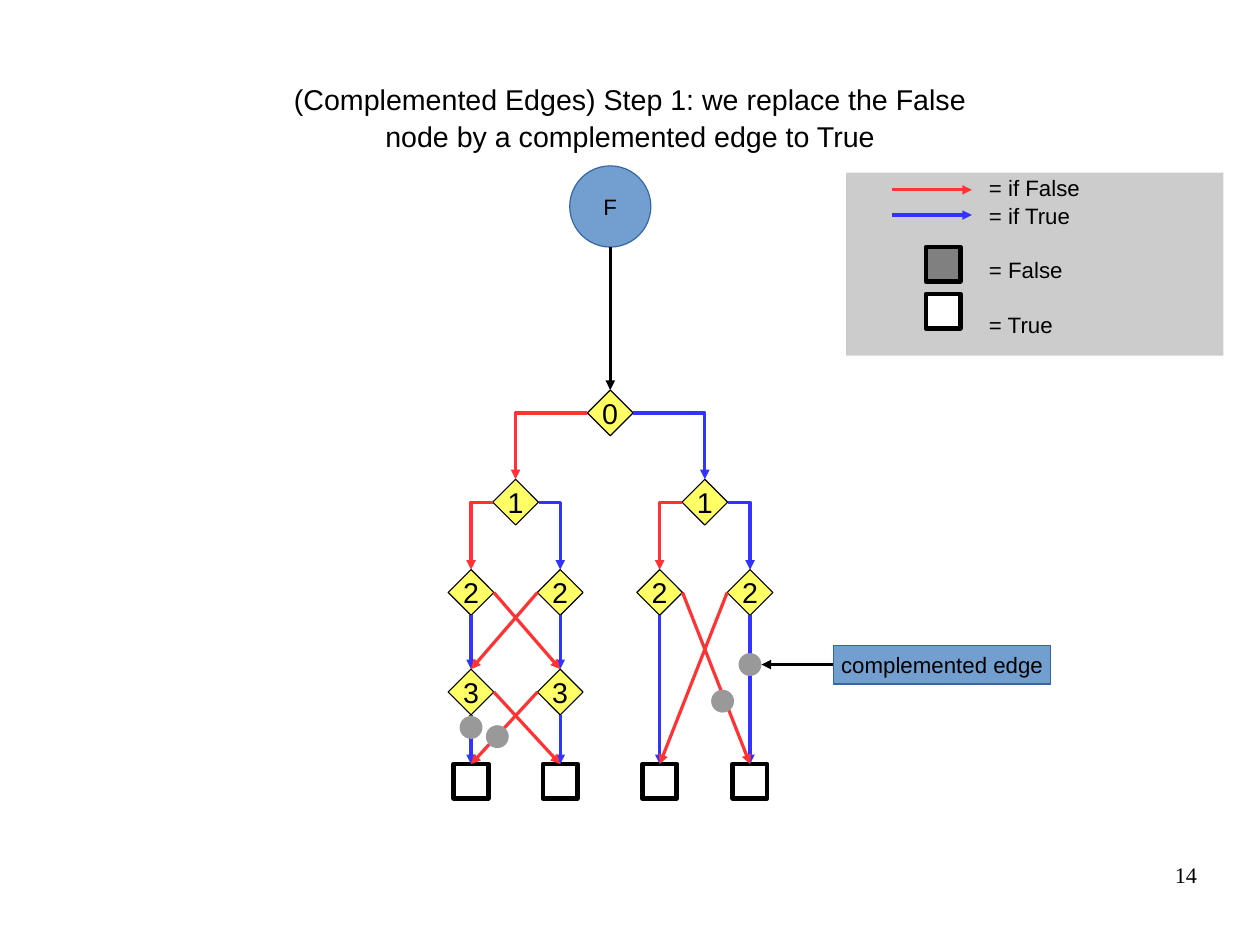
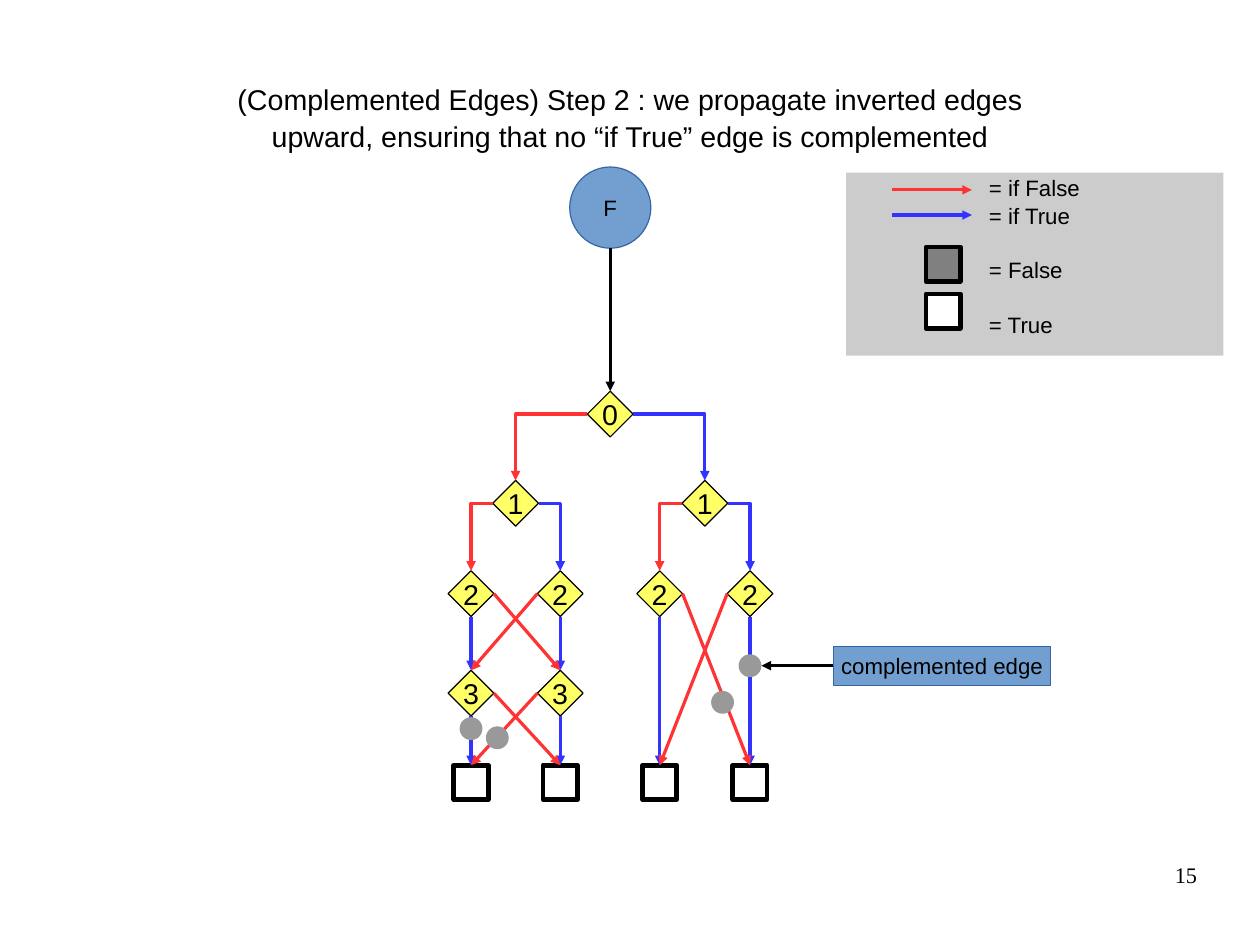
from lxml import etree
from pptx import Presentation
from pptx.dml.color import RGBColor
from pptx.enum.shapes import MSO_CONNECTOR, MSO_SHAPE
from pptx.enum.text import MSO_ANCHOR, MSO_AUTO_SIZE, PP_ALIGN
from pptx.oxml.ns import qn
from pptx.util import Inches, Pt

RECT, OVAL, DIAMOND = MSO_SHAPE.RECTANGLE, MSO_SHAPE.OVAL, MSO_SHAPE.DIAMOND
STRAIGHT, ELBOW = MSO_CONNECTOR.STRAIGHT, MSO_CONNECTOR.ELBOW
TOP, MIDDLE = MSO_ANCHOR.TOP, MSO_ANCHOR.MIDDLE
LEFT, CENTER, RIGHT = PP_ALIGN.LEFT, PP_ALIGN.CENTER, PP_ALIGN.RIGHT
NO_FIT = MSO_AUTO_SIZE.NONE
SITE_TOP, SITE_LEFT, SITE_BOTTOM, SITE_RIGHT = range(4)

BLACK = RGBColor(0x00, 0x00, 0x00)
WHITE = RGBColor(0xFF, 0xFF, 0xFF)
BLUE_FILL = RGBColor(0x72, 0x9F, 0xCF)
BLUE_LINE = RGBColor(0x34, 0x65, 0xA4)
YELLOW = RGBColor(0xFF, 0xFF, 0x66)
IF_TRUE = RGBColor(0x33, 0x33, 0xFF)
IF_FALSE = RGBColor(0xFF, 0x33, 0x33)
DOT_GRAY = RGBColor(0x99, 0x99, 0x99)
FALSE_GRAY = RGBColor(0x80, 0x80, 0x80)
PANEL_GRAY = RGBColor(0xCC, 0xCC, 0xCC)

WIDTH, HEIGHT = 11.02, 8.27
NODE, TERMINAL, DOT, FUNCTION = 0.4, 0.3, 0.2, 0.71
COLUMNS = (0.2, 0.98, 1.85, 2.64)
LEVELS = (1.96, 2.74, 3.53, 4.4)
TERMINAL_TOP = 5.23
COMPLEMENTS = ((2.64, 4.36), (2.4, 4.68), (0.2, 4.91), (0.43, 4.99))

SLIDES = (
    ("(Complemented Edges) Step 1: we replace the False\v"
     "node by a complemented edge to True", "14", 1.45),
    ("(Complemented Edges) Step 2 : we propagate inverted edges\v"
     "upward, ensuring that no “if True” edge is complemented", "15", 1.46),
)


def format_text(frame, size, align, font="Arial"):
    for paragraph in frame.paragraphs:
        paragraph.alignment = align
        for run in paragraph.runs:
            run.font.size = Pt(size)
            run.font.name = font
            run.font.color.rgb = BLACK


def add_part(slide, kind, box, fill, line=None, weight=0, text="", size=14):
    part = slide.shapes.add_shape(kind, *map(Inches, box))
    part.shadow.inherit = False
    part.fill.solid()
    part.fill.fore_color.rgb = fill
    if line is None:
        part.line.fill.background()
    else:
        part.line.color.rgb = line
        part.line.width = Pt(weight)
        etree.SubElement(part.line._get_or_add_ln(), qn("a:round"))
    if text:
        part.text_frame.text = text
        part.text_frame.word_wrap = False
        part.text_frame.vertical_anchor = MIDDLE
        format_text(part.text_frame, size, CENTER)
    return part


def add_centered(slide, kind, x, top, side, fill, **style):
    return add_part(slide, kind, (x - side / 2, top, side, side), fill, **style)


def add_arrow(slide, color, start=(0, 0), end=(0, 0), source=None, target=None, kind=STRAIGHT):
    arrow = slide.shapes.add_connector(kind, *map(Inches, (*start, *end)))
    if source:
        arrow.begin_connect(*source)
    if target:
        arrow.end_connect(*target)
    arrow.line.color.rgb = color
    arrow.line.width = Pt(0)
    properties = arrow._element.spPr
    if kind == ELBOW:
        properties.find(qn("a:prstGeom")).set("prst", "bentConnector2")
    etree.SubElement(properties.find(qn("a:ln")), qn("a:tailEnd"), type="triangle")
    etree.SubElement(properties, qn("a:effectLst"))


def add_branches(slide, parent, low, high):
    for color, site, child in ((IF_FALSE, SITE_LEFT, low), (IF_TRUE, SITE_RIGHT, high)):
        add_arrow(slide, color, source=(parent, site), target=(child, SITE_TOP), kind=ELBOW)


def add_crossing(slide, upper, lower):
    for node, below in zip(upper, lower):
        add_arrow(slide, IF_TRUE, source=(node, SITE_BOTTOM), target=(below, SITE_TOP))
    for node, site, below in zip(upper, (SITE_RIGHT, SITE_LEFT), reversed(lower)):
        add_arrow(slide, IF_FALSE, source=(node, site), target=(below, SITE_TOP))


def add_diagram(slide, left, top):
    columns = [left + x for x in COLUMNS]
    middles = [sum(columns[:2]) / 2, sum(columns[2:]) / 2]
    center = sum(middles) / 2

    terminals = [add_centered(slide, RECT, x, top + TERMINAL_TOP, TERMINAL, WHITE,
                              line=BLACK, weight=3) for x in columns]
    add_centered(slide, OVAL, center, top, FUNCTION, BLUE_FILL, line=BLUE_LINE, text="F")
    rows = ([center], middles, columns, columns[:2])
    (root,), ones, twos, threes = [
        [add_centered(slide, DIAMOND, x, top + LEVELS[level], NODE, YELLOW,
                      line=BLACK, text=str(level), size=18) for x in row]
        for level, row in enumerate(rows)]

    add_arrow(slide, BLACK, start=(center, top + FUNCTION), target=(root, SITE_TOP))
    add_branches(slide, root, *ones)
    for index, one in enumerate(ones):
        add_branches(slide, one, *twos[2 * index:2 * index + 2])
    add_crossing(slide, twos[:2], threes)
    add_crossing(slide, threes, terminals[:2])
    add_crossing(slide, twos[2:], terminals[2:])

    for x, y in COMPLEMENTS:
        add_centered(slide, OVAL, left + x, top + y - DOT / 2, DOT, DOT_GRAY)
    dot_x, dot_y = COMPLEMENTS[0]
    label = add_part(slide, RECT, (left + 3.37, top + dot_y - 0.17, 1.9, 0.34),
                     BLUE_FILL, BLUE_LINE, text="complemented edge")
    add_arrow(slide, BLACK, end=(left + dot_x + DOT / 2, top + dot_y),
              source=(label, SITE_LEFT))


def add_legend(slide, left, top, width, height):
    panel = add_part(slide, RECT, (left, top, width, height), PANEL_GRAY,
                     text="= if False\n= if True\n= False\n= True")
    frame = panel.text_frame
    frame.vertical_anchor = TOP
    frame.word_wrap = True
    frame.margin_left, frame.margin_top = Inches(1.25), Inches(0.01)
    format_text(frame, 14, LEFT)
    for paragraph, gap in zip(frame.paragraphs, (0, 0.8, 17.6, 17.6)):
        paragraph.space_before = Pt(gap)

    for y, color in ((0.15, IF_FALSE), (0.37, IF_TRUE)):
        add_arrow(slide, color, (left + 0.4, top + y), (left + 1.1, top + y))
    for y, fill in ((0.65, FALSE_GRAY), (1.06, WHITE)):
        add_centered(slide, RECT, left + 0.85, top + y, TERMINAL, fill, line=BLACK, weight=3)


def add_title(slide, text, left, top, width, height):
    title = slide.shapes.title
    title.left, title.top, title.width, title.height = map(Inches, (left, top, width, height))
    frame = title.text_frame
    frame.text = text
    frame.paragraphs[0].line_spacing = 1.06
    frame.auto_size = NO_FIT
    frame.vertical_anchor = MIDDLE
    frame.margin_left = frame.margin_right = frame.margin_top = frame.margin_bottom = 0
    format_text(frame, 18, CENTER)


def add_page_number(slide, number, left, top, width, height):
    frame = slide.shapes.add_textbox(*map(Inches, (left, top, width, height))).text_frame
    frame.word_wrap = True
    frame.margin_left = frame.margin_right = frame.margin_top = frame.margin_bottom = 0
    frame.text = number
    format_text(frame, 14, RIGHT, "Times New Roman")


def main():
    deck = Presentation()
    deck.slide_width, deck.slide_height = Inches(WIDTH), Inches(HEIGHT)
    title_only = deck.slide_layouts[5]
    for title, number, diagram_top in SLIDES:
        slide = deck.slides.add_slide(title_only)
        add_title(slide, title, 0.55, 0.33, 9.92, 1.38)
        add_diagram(slide, 3.92, diagram_top)
        add_legend(slide, 7.4, 1.51, 3.3, 1.6)
        add_page_number(slide, number, 7.9, 7.53, 2.57, 0.57)
    deck.save("out.pptx")


if __name__ == "__main__":
    main()
